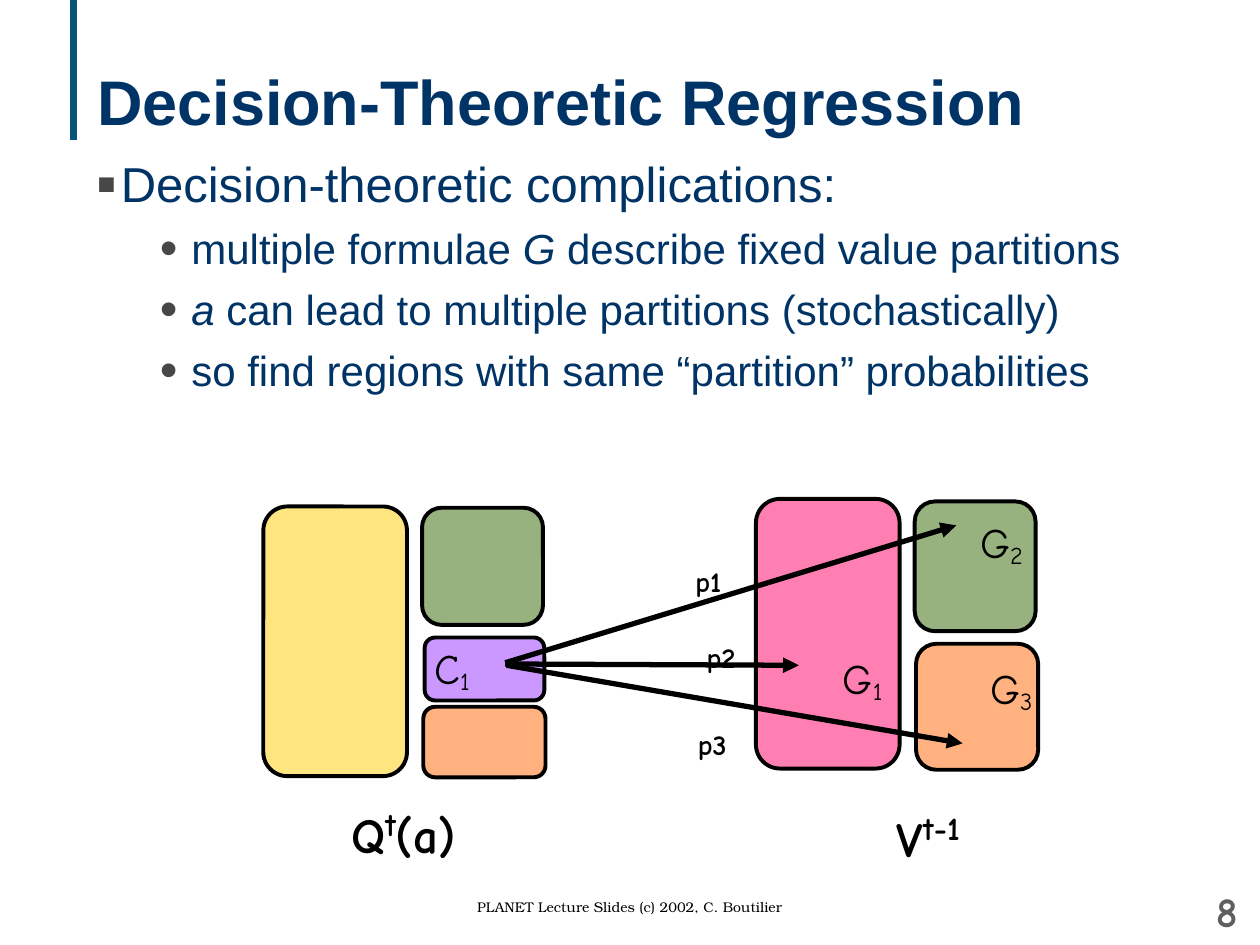
import pptx
import pptx.util
import pptx.dml.color
import pptx.enum.shapes
import pptx.enum.text
import pptx.oxml.ns
from lxml import etree

Inches, Pt = pptx.util.Inches, pptx.util.Pt
RGB = pptx.dml.color.RGBColor.from_string
ALIGN = pptx.enum.text.PP_ALIGN
ANCHOR = pptx.enum.text.MSO_ANCHOR
FIT = pptx.enum.text.MSO_AUTO_SIZE
qn = pptx.oxml.ns.qn

COLORS = {"navy": "003366", "bar": "07547A", "bullet": "474747", "black": "000000",
          "gray": "5F5F5F", "yellow": "FFCC00", "green": "336600", "orange": "FF6600",
          "pink": "FF0066", "purple": "9933FF"}

TITLE = "Decision-Theoretic Regression"
BULLETS = [
    (0, [("Decision-theoretic complications:", {})]),
    (1, [("multiple formulae ", {}), ("G", {"italic": True}),
         (" describe fixed value partitions", {})]),
    (1, [("a", {"italic": True}), (" can lead to multiple partitions (stochastically)", {})]),
    (1, [("so find regions with same “partition” probabilities", {})]),
]
LEVELS = [
    {"size": 28, "before": 7, "char": "▪", "margin": 0.19, "indent": -0.19},
    {"size": 24, "before": 6, "char": "•", "margin": 0.75, "indent": -0.25},
]
REGIONS = [
    ("yellow", 2.09, 4.02, 1.14, 2.14),
    ("green", 3.35, 4.03, 0.96, 0.93),
    ("orange", 3.36, 5.61, 0.97, 0.56),
    ("purple", 3.37, 5.06, 0.95, 0.5),
    ("green", 7.26, 3.98, 0.96, 1.03),
    ("orange", 7.27, 5.11, 0.97, 1),
    ("pink", 6, 3.96, 1.14, 2.14),
]
REGION_LABELS = [
    ("C", "1", 3.35, 5.05),
    ("G", "1", 6.59, 5.13),
    ("G", "2", 7.68, 4.05),
    ("G", "3", 7.76, 5.21),
]
REGION_LABEL_SIZE = (0.57, 0.52)
FUNCTIONS = [
    ([("Q", 28, 0), ("t", 32, 30), ("(a)", 28, 0)], 2.69, 6.28, 1.06),
    ([("V", 28, 0), ("t-1", 32, 30)], 7.02, 6.31, 0.73),
]
TRANSITIONS = [
    ("p1", (4.01, 5.26), (7.59, 4.17), (5.42, 4.32)),
    ("p2", (4.01, 5.27), (6.34, 5.28), (5.51, 4.92)),
    ("p3", (4.02, 5.28), (7.64, 5.9), (5.44, 5.61)),
]
TRANSITION_LABEL_SIZE = (0.46, 0.57)
FOOTER = "PLANET Lecture Slides (c) 2002, C. Boutilier"
PAGE = "8"


def add_run(p, text, color="black", base=0, **font):
    r = p.add_run()
    r.text = text
    for key, value in font.items():
        setattr(r.font, key, Pt(value) if key == "size" else value)
    r.font.color.rgb = RGB(COLORS[color])
    if base:
        r.font._element.set("baseline", str(base * 1000))


def add_text(s, x, y, w, h, wrap=False, **frame):
    tf = s.shapes.add_textbox(*map(Inches, (x, y, w, h))).text_frame
    formats = {"word_wrap": wrap, "auto_size": FIT.NONE if wrap else FIT.SHAPE_TO_FIT_TEXT}
    for key, value in {**formats, **frame}.items():
        setattr(tf, key, value)
    return tf


def add_bullet(p, level):
    pPr = p._p.get_or_add_pPr()
    pPr.set("marL", str(Inches(level["margin"])))
    pPr.set("indent", str(Inches(level["indent"])))
    buClr = etree.SubElement(pPr, qn("a:buClr"))
    etree.SubElement(buClr, qn("a:srgbClr"), val=COLORS["bullet"])
    etree.SubElement(pPr, qn("a:buSzPct"), val="120000")
    etree.SubElement(pPr, qn("a:buFont"), typeface="Arial")
    etree.SubElement(pPr, qn("a:buChar"), char=level["char"])


def add_line(s, start, end, color, width, arrow=False):
    c = s.shapes.add_connector(pptx.enum.shapes.MSO_CONNECTOR.STRAIGHT,
                               *map(Inches, start + end))
    c.line.color.rgb = RGB(COLORS[color])
    c.line.width = Pt(width)
    if arrow:
        etree.SubElement(c.line._get_or_add_ln(), qn("a:tailEnd"), type="triangle")
    etree.SubElement(c._element.spPr, qn("a:effectLst"))


def add_region(s, color, *box):
    sp = s.shapes.add_shape(pptx.enum.shapes.MSO_SHAPE.ROUNDED_RECTANGLE, *map(Inches, box))
    sp.shadow.inherit = False
    sp.adjustments[0] = 0.167
    sp.fill.solid()
    sp.fill.fore_color.rgb = RGB(COLORS[color])
    srgb = sp._element.spPr.find(qn("a:solidFill")).find(qn("a:srgbClr"))
    etree.SubElement(srgb, qn("a:alpha"), val="50000")
    sp.line.color.rgb = RGB(COLORS["black"])
    sp.line.width = Pt(2.25)


def main():
    prs = pptx.Presentation()
    prs.slide_width, prs.slide_height = Inches(10), Inches(7.5)
    s = prs.slides.add_slide(prs.slide_layouts[5])
    add_line(s, (0.58, 0), (0.58, 1.11), "bar", 4)

    title = s.shapes.title
    for key, value in {"left": 0.67, "top": 0.17, "width": 8.92, "height": 1.25}.items():
        setattr(title, key, Inches(value))
    tf = title.text_frame
    tf.auto_size, tf.vertical_anchor = FIT.NONE, ANCHOR.MIDDLE
    tf.paragraphs[0].alignment = ALIGN.LEFT
    add_run(tf.paragraphs[0], TITLE, "navy", size=36, name="Arial", bold=True)

    tf = add_text(s, 0.67, 1.17, 8.92, 2.3, wrap=True)
    for i, (depth, runs) in enumerate(BULLETS):
        p = tf.add_paragraph() if i else tf.paragraphs[0]
        level = LEVELS[depth]
        p.level = depth
        add_bullet(p, level)
        if i:
            p.space_before = Pt(level["before"])
        for text, style in runs:
            add_run(p, text, "navy", size=level["size"], name="Arial", **style)

    for region in REGIONS:
        add_region(s, *region)
    for letter, index, x, y in REGION_LABELS:
        p = add_text(s, x, y, *REGION_LABEL_SIZE).paragraphs[0]
        for text, base in ((letter, 0), (index, -14)):
            add_run(p, text, base=base, size=24, name="Comic Neue")
    for runs, x, y, w in FUNCTIONS:
        p = add_text(s, x, y, w, 0.64).paragraphs[0]
        for text, size, base in runs:
            add_run(p, text, base=base, size=size, name="Comic Neue", bold=True)
    for text, start, end, corner in TRANSITIONS:
        add_line(s, start, end, "black", 3, arrow=True)
        p = add_text(s, *corner, *TRANSITION_LABEL_SIZE).paragraphs[0]
        add_run(p, text, base=14, size=28, name="Comic Neue", bold=True)

    p = add_text(s, 2.75, 7.08, 4.5, 0.25, wrap=True).paragraphs[0]
    p.alignment = ALIGN.CENTER
    add_run(p, FOOTER, size=8, name="TeX Gyre Bonum")
    p = add_text(s, 9.2, 7.03, 0.72, 0.4, wrap=True, vertical_anchor=ANCHOR.MIDDLE).paragraphs[0]
    p.alignment = ALIGN.RIGHT
    add_run(p, PAGE, "gray", size=24, name="Comic Neue", bold=True)
    prs.save("out.pptx")


if __name__ == "__main__":
    main()
